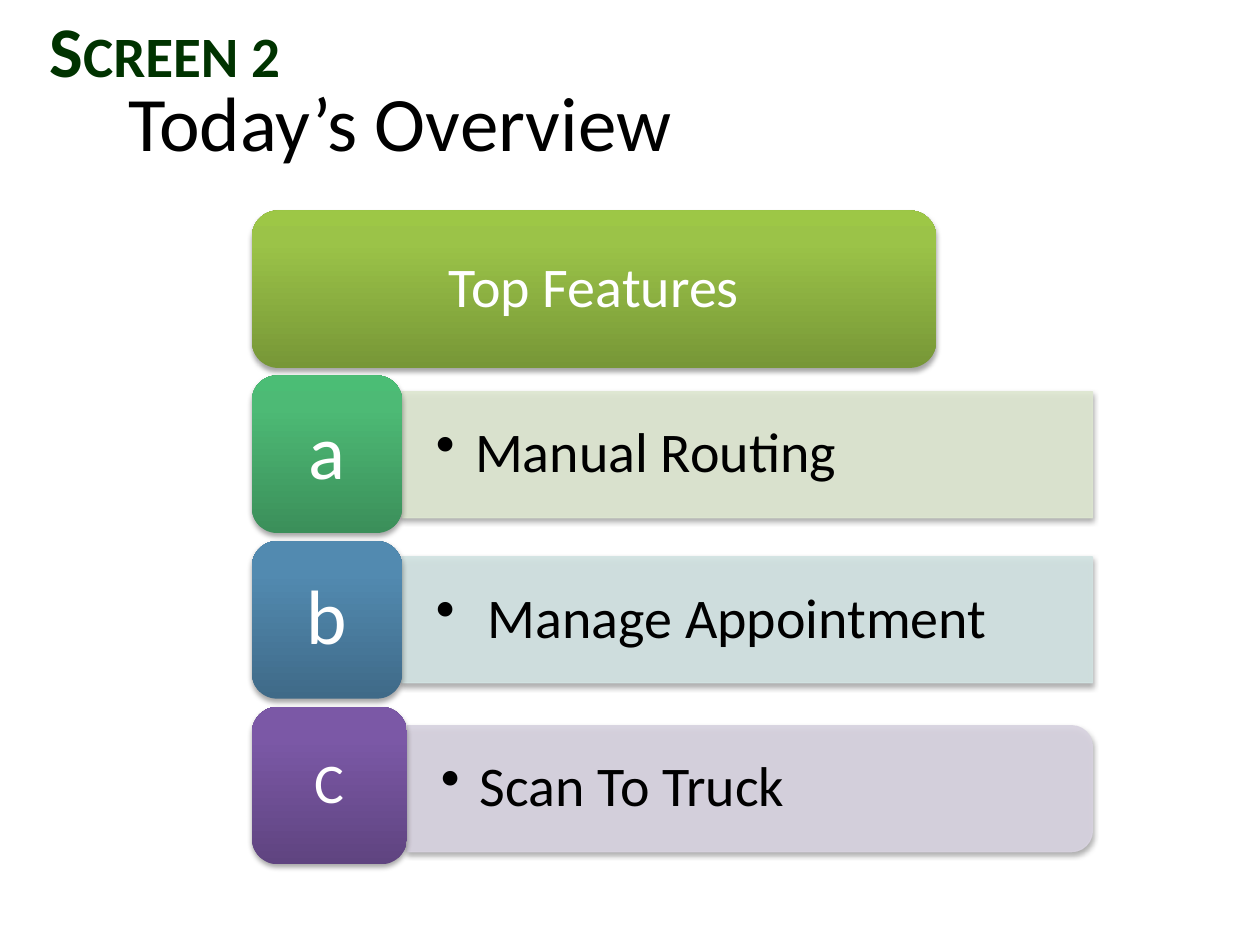
"""Build the Today's Overview slide with its top features."""
import dataclasses

import lxml.etree
import pptx
import pptx.dml.color
import pptx.enum.shapes
import pptx.enum.text
import pptx.oxml
import pptx.oxml.ns
import pptx.util

Inches = pptx.util.Inches
Color = pptx.dml.color.RGBColor.from_string
Kind = pptx.enum.shapes.MSO_SHAPE
Align = pptx.enum.text.PP_ALIGN
qn = pptx.oxml.ns.qn
NS = pptx.oxml.ns.nsdecls("a")


@dataclasses.dataclass
class Theme:
    font: str = "Calibri"
    ink: str = "000000"
    light: str = "FFFFFF"
    label: str = "003300"
    banner: tuple = ("779737", "9BC348", "9DC746")
    green: tuple = ("3B8F5A", "4DBA75", "4BBD75")
    blue: tuple = ("3F6A88", "528AB0", "518BB3")
    purple: tuple = ("5F4480", "7B58A6", "7C57A8")
    sage: str = "DEE7D1"
    mist: str = "D2E3E2"
    lilac: str = "D8D3E0"
    head: float = 44
    body: float = 32
    tag: float = 40.7


theme = Theme()


def write(shape, text, size, color, align, pad=0.1):
    frame = shape.text_frame
    frame.word_wrap = True
    frame.vertical_anchor = pptx.enum.text.MSO_ANCHOR.MIDDLE
    frame.margin_left = frame.margin_right = Inches(pad)
    frame.margin_top = frame.margin_bottom = Inches(pad / 2)
    para = frame.paragraphs[0]
    para.text = text
    para.alignment = align
    para.font.name = theme.font
    para.font.size = pptx.util.Pt(size)
    para.font.color.rgb = Color(color)
    return para


def block(kind, left, top, width, height, tones):
    shape = slide.shapes.add_shape(
        kind, Inches(left), Inches(top), Inches(width), Inches(height))
    props = shape._element.spPr
    if isinstance(tones, str):
        shape.fill.solid()
        shape.fill.fore_color.rgb = Color(tones)
        shape.line.color.rgb = Color(tones)
        shape.line.width = pptx.util.Pt(0.75)
        for tone in props.iter(qn("a:srgbClr")):
            lxml.etree.SubElement(tone, qn("a:alpha"), val="90000")
    else:
        shape.line.fill.background()
        stops = "".join(
            f'<a:gs pos="{pos}"><a:srgbClr val="{tone}"/></a:gs>'
            for pos, tone in zip((0, 80000, 100000), tones))
        props.find(qn("a:prstGeom")).addnext(pptx.oxml.parse_xml(
            f'<a:gradFill {NS} rotWithShape="1"><a:gsLst>{stops}</a:gsLst>'
            '<a:lin ang="16200000" scaled="0"/></a:gradFill>'))
    props.append(pptx.oxml.parse_xml(
        f'<a:effectLst {NS}><a:outerShdw blurRad="39400" dist="22900" '
        'dir="5400000" rotWithShape="0"><a:srgbClr val="000000">'
        '<a:alpha val="35000"/></a:srgbClr></a:outerShdw></a:effectLst>'))
    return shape


deck = pptx.Presentation()
deck.slide_width, deck.slide_height = Inches(10), Inches(7.5)
slide = deck.slides.add_slide(deck.slide_layouts[5])

title = slide.shapes.title
title.left, title.top = Inches(0.92), Inches(0.33)
title.width, title.height = Inches(8.83), Inches(1.25)
write(title, "Today’s Overview", theme.head, theme.ink, Align.LEFT)

left, first, step, tall, thick = 2, 2.98, 1.315, 1.25, 1
banner = block(Kind.ROUNDED_RECTANGLE, left, 1.67, 5.43, tall, theme.banner)
para = write(banner, "Top Features", theme.body, theme.light, Align.CENTER)
para.line_spacing = 0.9

rows = (
    ("a", "Manual Routing", theme.green, theme.sage,
     Kind.RECTANGLE, theme.head, 1.19, 3.61),
    ("b", " Manage Appointment", theme.blue, theme.mist,
     Kind.RECTANGLE, theme.head, 1.19, 4.92),
    ("C", "Scan To Truck", theme.purple, theme.lilac,
     Kind.ROUND_2_SAME_RECTANGLE, theme.body, 1.23, 6.26),
)
for row, (mark, text, tones, tint, kind, size, wide, mid) in enumerate(rows):
    start = left + wide
    span = 8.67 - start
    bar = block(kind, start + (span - thick) / 2, mid - span / 2,
                thick, span, tint)
    bar.rotation = 90
    box = slide.shapes.add_textbox(
        Inches(start), Inches(mid - thick / 2), Inches(span), Inches(thick))
    para = write(box, text, theme.body, theme.ink, Align.LEFT, 0.27)
    para.line_spacing = 0.9
    props = para._p.get_or_add_pPr()
    props.set("marL", str(Inches(0.31)))
    props.set("indent", str(Inches(-0.31)))
    props.find(qn("a:defRPr")).addprevious(
        pptx.oxml.parse_xml(f'<a:buChar {NS} char="•"/>'))

    tile = block(Kind.ROUNDED_RECTANGLE, left, first + row * step,
                 wide, tall, tones)
    para = write(tile, mark, size, theme.light, Align.CENTER)
    para.line_spacing = 0.9

label = slide.shapes.add_textbox(
    Inches(0.07), Inches(0), Inches(2.25), Inches(0.67))
para = write(label, "Screen 2", theme.tag, theme.label, Align.RIGHT)
label.text_frame.vertical_anchor = pptx.enum.text.MSO_ANCHOR.TOP
para.font.bold = True
para._p.pPr.find(qn("a:defRPr")).set("cap", "small")

deck.save("out.pptx")
